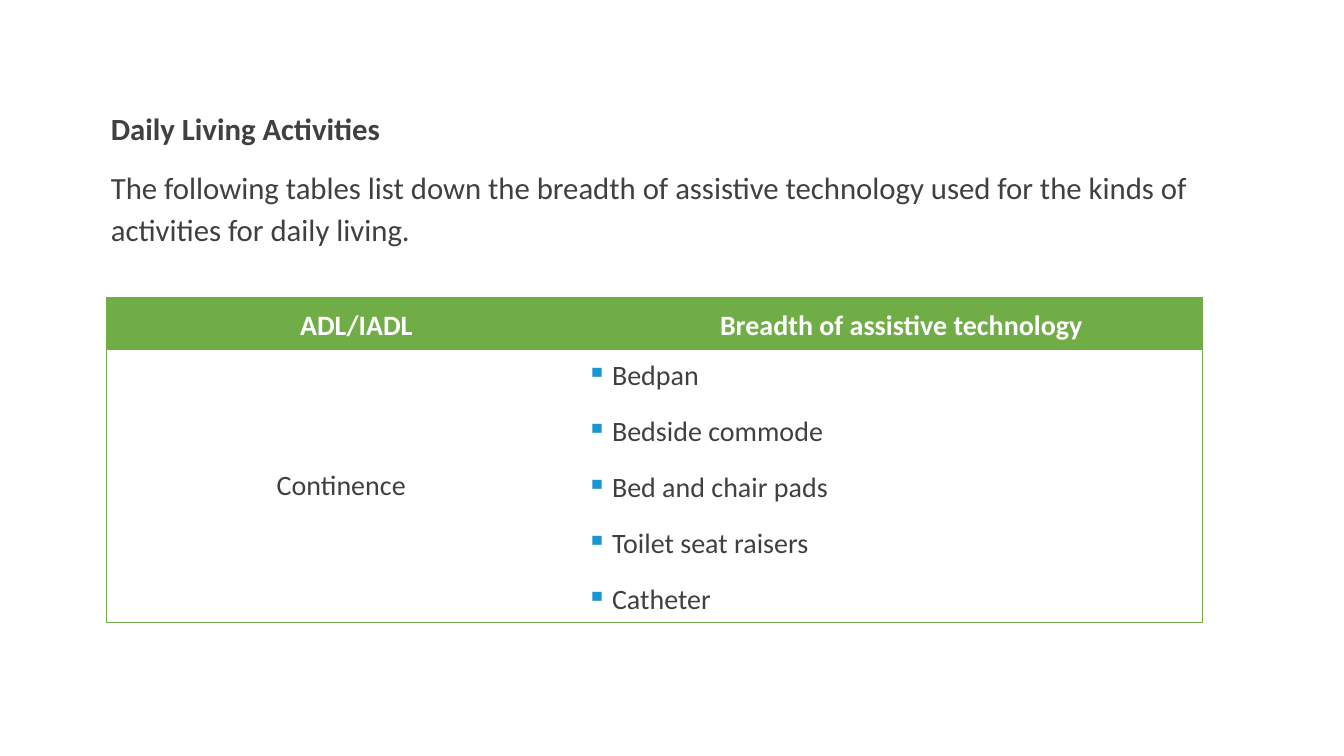
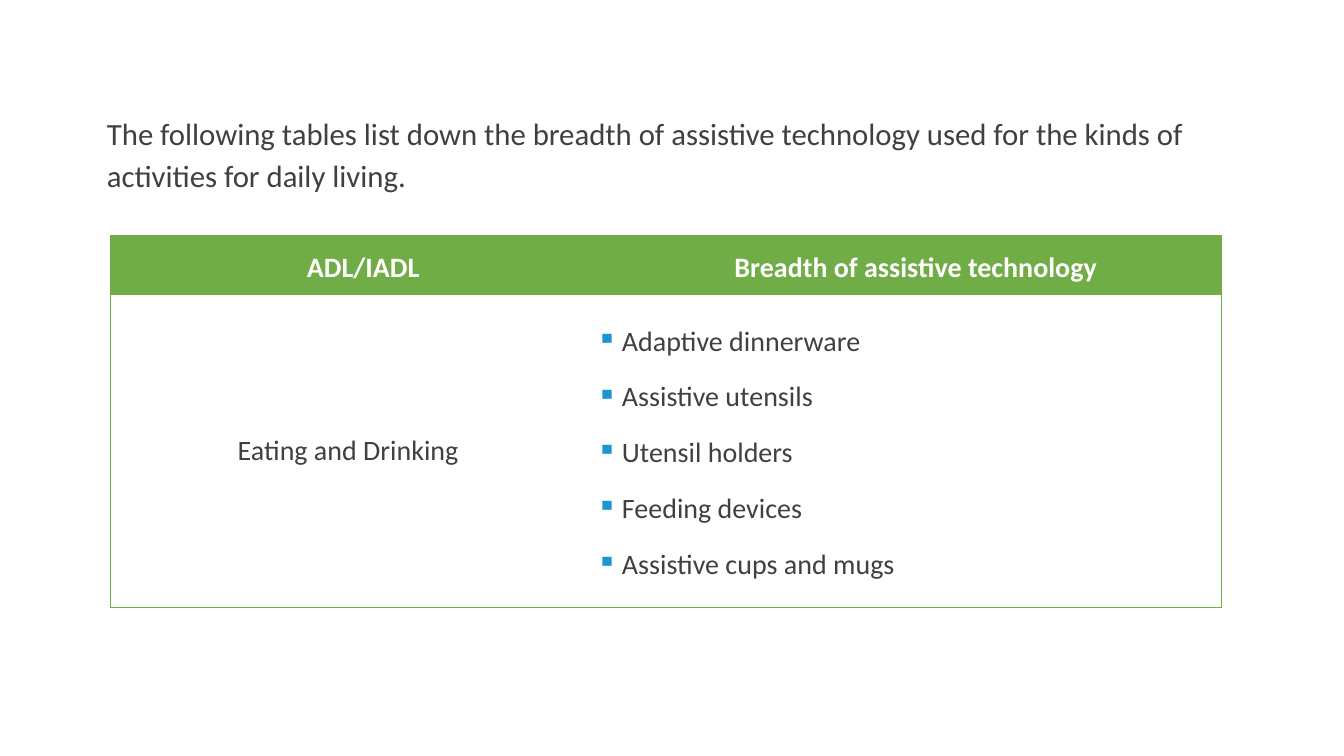
from lxml.etree import SubElement
from pptx import Presentation
from pptx.dml.color import RGBColor
from pptx.enum.text import MSO_ANCHOR, PP_ALIGN
from pptx.oxml.ns import qn
from pptx.util import Cm, Pt

LEAD = ("The following tables list down the breadth of assistive technology "
        "used for the kinds of activities for daily living.")
HEADS = ["ADL/IADL", "Breadth of assistive technology "]
SLIDES = [
    dict(title="Daily Living Activities", body=(2.54, 2.51),
         table=(2.67, 7.49), cols=(11.86, 15.77), rows=(1.31, 6.86),
         task="Continence",
         aids=["Bedpan", "Bedside commode", "Bed and chair pads",
               "Toilet seat raisers", "Catheter"]),
    dict(title=None, body=(2.44, 2.64),
         table=(2.77, 5.94), cols=(12.01, 16), rows=(1.47, 7.9),
         task="Eating and Drinking",
         aids=["Adaptive dinnerware", "Assistive utensils", "Utensil holders",
               "Feeding devices", "Assistive cups and mugs"]),
]
COLORS = dict(text="404040", head="FFFFFF", green="70AD47", bullet="1C96D3")
FONT = "Calibri"
BODY = (28.02, 12.09)


def write(frame, text, size=20, color="text", bold=False, align=PP_ALIGN.LEFT,
          left=0, hang=0, bullet=None, space=1.14, first=True):
    para = frame.paragraphs[0] if first else frame.add_paragraph()
    props = para._p.get_or_add_pPr()
    props.set("marL", str(Cm(left)))
    props.set("indent", str(Cm(-hang)))
    if bullet:
        tint = SubElement(props, qn("a:buClr"))
        SubElement(tint, qn("a:srgbClr"), val=COLORS["bullet"])
        SubElement(props, qn("a:buChar"), char=bullet)
    else:
        SubElement(props, qn("a:buNone"))
    para.alignment = align
    para.line_spacing = space
    para.space_before = Pt(0 if first else 6)
    para.space_after = Pt(6)
    run = para.add_run()
    run.text = text
    run.font.name, run.font.size, run.font.bold = FONT, Pt(size), bold
    run.font.color.rgb = RGBColor.from_string(COLORS[color])


def edge(cell, sides):
    props = cell._tc.get_or_add_tcPr()
    for side in "LRTB":
        line = SubElement(props, qn("a:ln" + side), w=str(Pt(0.5)))
        if side in sides:
            fill = SubElement(line, qn("a:solidFill"))
            SubElement(fill, qn("a:srgbClr"), val=COLORS["green"])
        else:
            SubElement(line, qn("a:noFill"))


def add_lead(slide, data):
    slide.shapes.title.element.getparent().remove(slide.shapes.title.element)
    body = slide.placeholders[1]
    body.left, body.top = map(Cm, data["body"])
    body.width, body.height = map(Cm, BODY)
    frame = body.text_frame
    frame.word_wrap = True
    if data["title"]:
        write(frame, data["title"], size=22, bold=True)
    write(frame, LEAD, size=22, first=not data["title"])


def add_grid(slide, data):
    cols, rows = data["cols"], data["rows"]
    table = slide.shapes.add_table(
        2, 2, *map(Cm, data["table"]), Cm(sum(cols)), Cm(sum(rows))).table
    for col, width in zip(table.columns, cols):
        col.width = Cm(width)
    for row, height in zip(table.rows, rows):
        row.height = Cm(height)
    for r in range(2):
        for c in range(2):
            cell = table.cell(r, c)
            cell.vertical_anchor = MSO_ANCHOR.MIDDLE
            edge(cell, "LR"[c] + ("T" if r == 0 else "TB"))
            if r == 0:
                cell.fill.solid()
                cell.fill.fore_color.rgb = RGBColor.from_string(COLORS["green"])
                cell.margin_left = cell.margin_right = Cm(0.18)
                cell.margin_top = cell.margin_bottom = 0
                write(cell.text_frame, HEADS[c], color="head", bold=True,
                      align=PP_ALIGN.CENTER, left=1.4, hang=0.64, space=1.15)
            else:
                cell.fill.background()
    write(table.cell(1, 0).text_frame, data["task"],
          align=PP_ALIGN.CENTER, space=1.0)
    for i, aid in enumerate(data["aids"]):
        write(table.cell(1, 1).text_frame, aid, left=0.64, hang=0.64,
              bullet="▪", first=i == 0)


def main():
    deck = Presentation()
    deck.slide_width, deck.slide_height = Cm(33.87), Cm(19.05)
    for data in SLIDES:
        slide = deck.slides.add_slide(deck.slide_layouts[1])
        add_lead(slide, data)
        add_grid(slide, data)
    deck.save("out.pptx")


if __name__ == "__main__":
    main()
